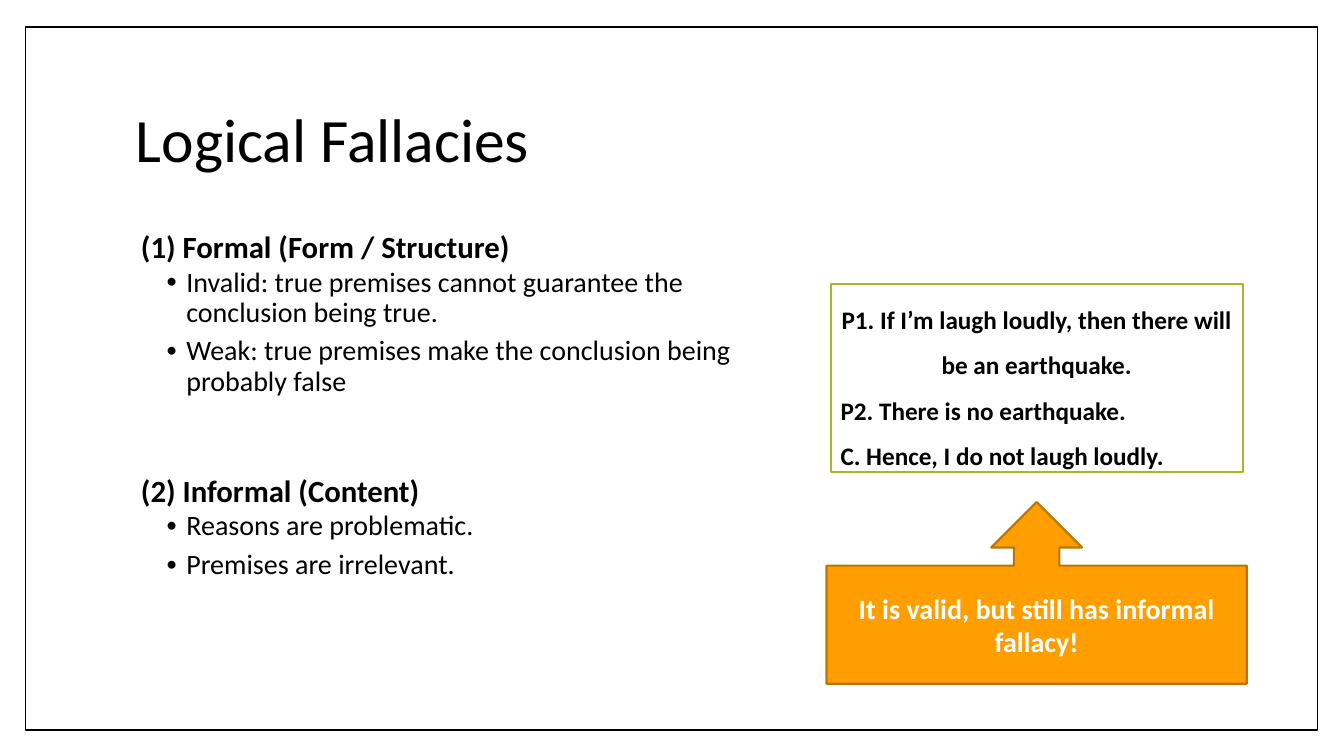
from lxml import etree
from pptx import Presentation
from pptx.dml.color import RGBColor
from pptx.enum.shapes import MSO_SHAPE
from pptx.enum.text import MSO_ANCHOR, MSO_AUTO_SIZE, PP_ALIGN
from pptx.oxml.ns import qn
from pptx.util import Pt

RECT, CALLOUT = MSO_SHAPE.RECTANGLE, MSO_SHAPE.UP_ARROW_CALLOUT
TOP, MIDDLE = MSO_ANCHOR.TOP, MSO_ANCHOR.MIDDLE
CENTER = PP_ALIGN.CENTER
NO_FIT = MSO_AUTO_SIZE.NONE

BLACK = RGBColor(0x00, 0x00, 0x00)
WHITE = RGBColor(0xFF, 0xFF, 0xFF)
GREEN = RGBColor(0xA6, 0xB7, 0x27)
ORANGE = RGBColor(0xFE, 0x9E, 0x00)
BROWN = RGBColor(0xBC, 0x75, 0x00)

# Paragraph formats
HEADING = {"line_spacing": 0.9}
LATER_HEADING = {"line_spacing": 0.9, "space_before": Pt(52)}
BULLET = {"level": 1, "line_spacing": 0.9,
          "space_before": Pt(2), "space_after": Pt(4)}
PREMISE = {"line_spacing": 1.5}
CENTERED = {"alignment": CENTER}


class SlideBuilder:
    """Holds the font and the current slide."""

    def __init__(self, slide, font_name):
        self.slide = slide
        self.font_name = font_name

    def shape(self, kind, box, fill, line, width):
        s = self.slide.shapes.add_shape(kind, *map(Pt, box))
        s.shadow.inherit = False
        s.fill.solid()
        s.fill.fore_color.rgb = fill
        s.line.color.rgb = line
        s.line.width = Pt(width)
        return self.frame(s, TOP)

    def text_box(self, box, anchor=TOP):
        return self.frame(self.slide.shapes.add_textbox(*map(Pt, box)), anchor)

    def frame(self, s, anchor):
        tf = s.text_frame
        values = {"word_wrap": True, "auto_size": NO_FIT, "vertical_anchor": anchor}
        for name, value in values.items():
            setattr(tf, name, value)
        return tf

    def paragraph(self, tf, text, size, fmt, color=BLACK, bold=False,
                  left=0, hanging=0):
        p = tf.paragraphs[0] if not tf.text else tf.add_paragraph()
        pPr = p._p.get_or_add_pPr()
        pPr.set("marL", str(Pt(left)))
        pPr.set("indent", str(-Pt(hanging)))
        if hanging:
            self.bullet(pPr)
        for name, value in fmt.items():
            setattr(p, name, value)
        r = p.add_run()
        r.text = text
        r.font.color.rgb = color
        values = {"name": self.font_name, "size": Pt(size), "bold": bold}
        for name, value in values.items():
            setattr(r.font, name, value)

    def bullet(self, pPr):
        color = etree.SubElement(pPr, qn("a:buClr"))
        etree.SubElement(color, qn("a:srgbClr"), val=str(BLACK))
        etree.SubElement(pPr, qn("a:buSzPct"), val="80000")
        etree.SubElement(pPr, qn("a:buFont"), typeface=self.font_name)
        etree.SubElement(pPr, qn("a:buChar"), char="•")


def main():
    prs = Presentation()
    prs.slide_width, prs.slide_height = Pt(960), Pt(540)
    b = SlideBuilder(prs.slides.add_slide(prs.slide_layouts[6]), "Calibri")

    # Frame and title
    b.shape(RECT, (18, 19.4, 923, 502), WHITE, BLACK, 1)
    tf = b.text_box((90, 48.2, 777.6, 106.6), MIDDLE)
    b.paragraph(tf, "Logical Fallacies", 44, HEADING)

    # Two kinds of fallacy
    sections = [
        ("(1) Formal (Form / Structure)", HEADING, [
            "Invalid: true premises cannot guarantee the conclusion being true.",
            "Weak: true premises make the conclusion being probably false"]),
        ("(2) Informal (Content)", LATER_HEADING, [
            "Reasons are problematic.",
            "Premises are irrelevant."]),
    ]
    tf = b.text_box((90, 162, 481, 330))
    for heading, fmt, points in sections:
        b.paragraph(tf, heading, 22, fmt, bold=True, left=3.6)
        for point in points:
            b.paragraph(tf, point, 20, BULLET, left=36, hanging=14.4)

    # Example argument
    tf = b.shape(RECT, (593.3, 203, 294.5, 134), WHITE, GREEN, 1.5)
    for line in ("P1. If I’m laugh loudly, then there will be an earthquake.",
                 "P2. There is no earthquake.",
                 "C. Hence, I do not laugh loudly."):
        b.paragraph(tf, line, 18, PREMISE, bold=True)

    # Verdict pointing at the argument
    tf = b.shape(CALLOUT, (590.4, 358.6, 300.2, 129.8), ORANGE, BROWN, 1.5)
    tf.vertical_anchor = MIDDLE
    b.paragraph(tf, "It is valid, but still has informal fallacy!", 20,
                CENTERED, color=WHITE, bold=True)

    prs.save("out.pptx")


if __name__ == "__main__":
    main()
